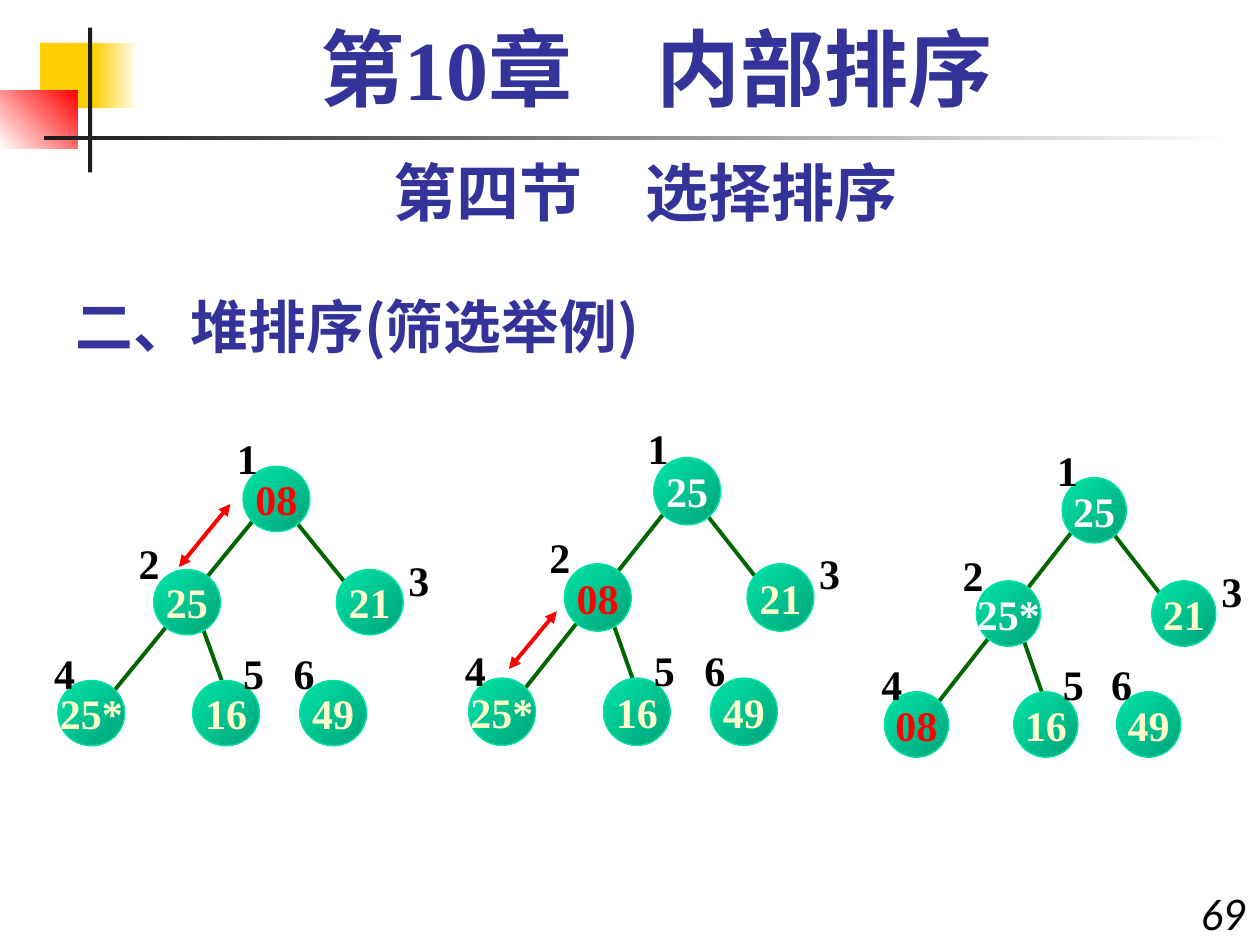
"""Build a slide that sifts a value down a heap in three steps."""
from dataclasses import dataclass
from typing import Any, Optional

import lxml.etree
import pptx
import pptx.dml.color
import pptx.enum.shapes
import pptx.enum.text
import pptx.oxml.ns
import pptx.util

Pt = pptx.util.Pt
KINDS = pptx.enum.shapes.MSO_SHAPE
ALIGN = pptx.enum.text.PP_ALIGN
ANCHOR = pptx.enum.text.MSO_ANCHOR

COLORS = {
    "gold": "FFCF01", "white": "FFFFFF", "red": "FF0000", "coal": "1C1C1C",
    "navy": "333399", "black": "000000", "edge": "006600", "mint": "00E4A8",
    "jade": "00A378", "cream": "FFFFCC",
}
SERIF, SANS, HAN = "Times New Roman", "Lato", "Noto Sans CJK SC"
NODE = (38.2, 37.4)
TAG = (26.6, 36)
SPOTS = [(105.8, 0), (54.7, 59), (159.1, 59), (0, 122.4), (77, 122.4), (138.2, 122.4)]
TAGS = [(95, -22.6), (38.9, 37.4), (193, 46.8), (-9.4, 100.1), (98.6, 100.1), (127.4, 100.1)]
EDGES = [(131.8, 26.6, 175, 79.9), (82.1, 90.7, 93.6, 122.4), (115.2, 26.6, 28.1, 133.2)]


@dataclass
class Label:
    text: str
    box: tuple
    size: float
    font: str = SERIF
    ink: str = "navy"
    bold: bool = True
    slant: bool = False
    align: Any = ALIGN.CENTER
    anchor: Any = ANCHOR.TOP
    wrap: bool = True
    space: float = 1.0


@dataclass
class Bar:
    box: tuple
    start: str
    stop: Optional[str] = None
    angle: float = 0


@dataclass
class Tree:
    left: float
    top: float
    wide: float
    high: float
    keys: list
    inks: list
    swap: Optional[tuple] = None

    def place(self, *nums: float) -> list:
        """Turn x, y pairs of the tree into slide points."""
        return [self.top + n * self.high if i % 2 else self.left + n * self.wide
                for i, n in enumerate(nums)]


BARS = [
    Bar((23, 24.5, 34.6, 37.4), "gold"),
    Bar((53.3, 24.5, 25.9, 37.4), "gold", "white"),
    Bar((0, 51.8, 44.3, 33.1), "white", "red", 45),
    Bar((50.4, 15.8, 2.3, 82.8), "coal"),
    Bar((25.2, 77.8, 679.7, 2.3), "coal", "white"),
]
LABELS = [
    Label("二、堆排序(筛选举例)", (36, 156.2, 450, 53.3), 33, HAN,
          align=ALIGN.LEFT, anchor=ANCHOR.BOTTOM),
    Label("69", (671.8, 504, 48.2, 36), 24, SANS, "black", False, True, ALIGN.RIGHT),
    Label("第四节\u3000选择排序".replace("\u3000", "　"), (36, 84.2, 666, 50.4), 36, SANS),
    Label("第10章　内部排序", (48.2, 12.2, 653.8, 59.8), 48, space=0.9),
]
TREES = [
    Tree(33.1, 266.4, 1, 1, ["08", "25", "21", "25*", "16", "49"],
         ["red"] + ["cream"] * 5, (69.1, 57.6, 98.6, 21.6)),
    Tree(267.8, 261.4, 1, 1.03, ["25", "08", "21", "25*", "16", "49"],
         ["white", "red"] + ["cream"] * 4, (23, 117.4, 50.4, 85.3)),
    Tree(505.4, 272.9, 0.96, 1, ["25", "25*", "21", "08", "16", "49"],
         ["white", "white", "cream", "red", "cream", "cream"]),
]


def shade(name: str) -> Any:
    """Return the named colour."""
    return pptx.dml.color.RGBColor.from_string(COLORS[name])


def apply(part: Any, vals: dict) -> None:
    """Set each attribute in the dict."""
    for name, val in vals.items():
        setattr(part, name, val)


def child(node: Any, tag: str, **vals: str) -> None:
    """Append an XML child with attributes."""
    lxml.etree.SubElement(node, pptx.oxml.ns.qn(tag), **vals)


def blend(fill: Any, start: str, stop: str, angle: float) -> None:
    """Fill with a gradient of two colours."""
    fill.gradient()
    fill.gradient_angle = angle
    for mark, name in zip(fill.gradient_stops, (start, stop)):
        mark.color.rgb = shade(name)


def write(shape: Any, label: Label) -> None:
    """Put the label's text into a shape."""
    frame = shape.text_frame
    apply(frame, {"word_wrap": label.wrap, "vertical_anchor": label.anchor})
    para = frame.paragraphs[0]
    apply(para, {"alignment": label.align, "line_spacing": label.space})
    run = para.add_run()
    run.text = label.text
    apply(run.font, {"size": Pt(label.size), "name": label.font,
                     "bold": label.bold, "italic": label.slant})
    run.font.color.rgb = shade(label.ink)
    child(run.font._element, "a:ea", typeface=HAN)


def draw_label(shapes: Any, label: Label) -> None:
    """Draw a text box."""
    write(shapes.add_textbox(*map(Pt, label.box)), label)


def draw_bar(shapes: Any, bar: Bar) -> None:
    """Draw a block of the corner ornament."""
    shape = shapes.add_shape(KINDS.RECTANGLE, *map(Pt, bar.box))
    shape.shadow.inherit = False
    shape.line.fill.background()
    if bar.stop:
        blend(shape.fill, bar.start, bar.stop, bar.angle)
    else:
        shape.fill.solid()
        shape.fill.fore_color.rgb = shade(bar.start)


def draw_line(shapes: Any, ends: list, ink: str, arrow: bool = False) -> None:
    """Draw a straight line, with two arrowheads if asked."""
    line = shapes.add_connector(pptx.enum.shapes.MSO_CONNECTOR.STRAIGHT, *map(Pt, ends))
    line.line.width = Pt(2.25)
    line.line.color.rgb = shade(ink)
    if arrow:
        for tag in ("a:headEnd", "a:tailEnd"):
            child(line.line._get_or_add_ln(), tag, type="triangle")
    child(line._element.spPr, "a:effectLst")


def draw_node(shapes: Any, label: Label) -> None:
    """Draw a round heap node."""
    shape = shapes.add_shape(KINDS.OVAL, *map(Pt, label.box))
    shape.shadow.inherit = False
    blend(shape.fill, "mint", "jade", 315)
    shape.line.width = Pt(0.75)
    shape.line.color.rgb = shade("mint")
    write(shape, label)


def draw_tree(shapes: Any, tree: Tree) -> None:
    """Draw one heap as a group."""
    group = shapes.add_group_shape().shapes
    for edge in EDGES:
        draw_line(group, tree.place(*edge), "edge")
    size = (NODE[0] * tree.wide, NODE[1] * tree.high)
    for key, ink, spot in zip(tree.keys, tree.inks, SPOTS):
        draw_node(group, Label(key, (*tree.place(*spot), *size), 24, ink=ink,
                               anchor=ANCHOR.MIDDLE, wrap=False))
    for num, spot in enumerate(TAGS, 1):
        draw_label(group, Label(str(num), (*tree.place(*spot), *TAG), 24,
                                ink="black", wrap=False))
    if tree.swap:
        draw_line(group, tree.place(*tree.swap), "red", True)


def main() -> None:
    """Build and save the slide."""
    deck = pptx.Presentation()
    apply(deck, {"slide_width": Pt(720), "slide_height": Pt(540)})
    shapes = deck.slides.add_slide(deck.slide_layouts[6]).shapes
    for draw, items in ((draw_bar, BARS), (draw_label, LABELS), (draw_tree, TREES)):
        for item in items:
            draw(shapes, item)
    deck.save("out.pptx")


if __name__ == "__main__":
    main()
